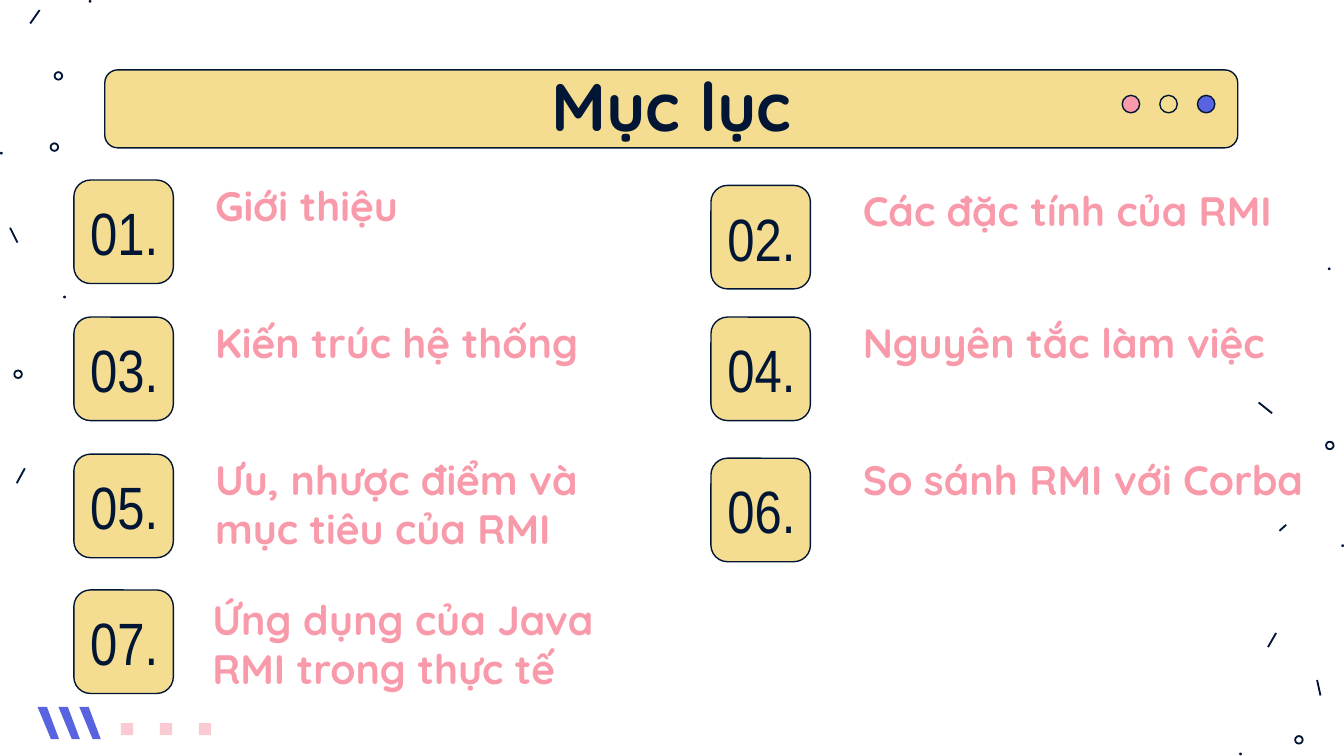
from lxml import etree
from pptx import Presentation
from pptx import util as u
from pptx.dml.color import RGBColor
from pptx.enum import shapes, text
from pptx.oxml.ns import qn

Inches = u.Inches
COLORS = {"navy": "011635", "yellow": "F4DC90", "pink": "F99AAA",
          "pale": "F9CAD2", "blue": "5863E0"}
SHAPE = shapes.MSO_SHAPE

SLASHES = [
    (0.295, 0.075, 0.225, 0.175), (0.075, 1.695, 0.13, 1.805),
    (0.185, 3.485, 0.125, 3.595), (9.365, 2.995, 9.465, 3.075),
    (9.8, 5.06, 9.825, 5.175), (9.495, 4.71, 9.435, 4.815),
    (9.57, 3.905, 9.52, 3.95),
]
RINGS = [(0.4, 0.53), (0.1, 2.75), (0.37, 1.06), (9.86, 3.28), (9.63, 5.47)]
DOTS = [(0.47, 2.2), (0.66, 0), (0, 1.13), (9.98, 4.05), (9.22, 5.6), (9.88, 1.99)]
ITEMS = [
    ("Giới thiệu", 0.55, 1.34, 1.6, 1.34, 2.55),
    ("Các đặc tính của RMI", 5.29, 1.38, 6.42, 1.38, 3.2),
    ("Kiến trúc hệ thống", 0.55, 2.36, 1.6, 2.36, 2.82),
    ("Nguyên tắc làm việc", 5.29, 2.36, 6.42, 2.36, 3.09),
    ("Ưu, nhược điểm và mục tiêu của RMI", 0.55, 3.38, 1.6, 3.38, 3.05),
    ("So sánh RMI với Corba", 5.29, 3.41, 6.42, 3.38, 3.39),
    ("Ứng dụng của Java RMI trong thực tế", 0.55, 4.39, 1.58, 4.42, 3.33),
]


def rgb(name):
    return RGBColor.from_string(COLORS[name])


def paint(sp, fill, line=None):
    sp.shadow.inherit = False
    sp.fill.solid()
    sp.fill.fore_color.rgb = rgb(fill)
    if line:
        sp.line.color.rgb = rgb(line)
        sp.line.width = u.Pt(0.75)
    else:
        sp.line.fill.background()
    return sp


def add_shape(s, kind, x, y, w, h, fill, line=None):
    sp = s.shapes.add_shape(kind, Inches(x), Inches(y), Inches(w), Inches(h))
    return paint(sp, fill, line)


def write(sp, words, size, font, color, bold=False,
          align=text.PP_ALIGN.LEFT, anchor=text.MSO_ANCHOR.TOP):
    tf = sp.text_frame
    tf.word_wrap = True
    tf.auto_size = text.MSO_AUTO_SIZE.NONE
    tf.vertical_anchor = anchor
    tf.margin_left = tf.margin_right = tf.margin_top = tf.margin_bottom = 0
    p = tf.paragraphs[0]
    p.alignment = align
    r = p.add_run()
    r.text = words
    r.font.size = u.Pt(size)
    r.font.name = font
    r.font.bold = bold
    r.font.color.rgb = rgb(color)


def add_text(s, words, x, y, w, h, **fmt):
    sp = s.shapes.add_textbox(Inches(x), Inches(y), Inches(w), Inches(h))
    write(sp, words, **fmt)


def draw_confetti(s):
    for ends in SLASHES:
        line = s.shapes.add_connector(shapes.MSO_CONNECTOR.STRAIGHT,
                                      *[Inches(v) for v in ends])
        line.line.color.rgb = rgb("navy")
        line.line.width = u.Pt(1)
        props = line.element.find(qn("p:spPr"))
        etree.SubElement(props, qn("a:effectLst"))
    for x, y in RINGS:
        ring = add_shape(s, SHAPE.DONUT, x, y, 0.07, 0.07, "navy")
        ring.adjustments[0] = 0.2
    for x, y in DOTS:
        add_shape(s, SHAPE.OVAL, x, y, 0.02, 0.02, "navy")


def draw_footer_marks(s, x, y):
    for i in range(3):
        left = x + 0.155 * i
        corners = [(left + dx, y + dy) for dx, dy in
                   [(0.07, 0), (0.16, 0.24), (0.1, 0.24), (0, 0)]]
        points = [(Inches(px), Inches(py)) for px, py in corners]
        builder = s.shapes.build_freeform(*points[0])
        builder.add_line_segments(points[1:], close=True)
        paint(builder.convert_to_shape(), "blue")
        add_shape(s, SHAPE.RECTANGLE, x + 0.62 + 0.29 * i, y + 0.12,
                  0.09, 0.09, "pale")


def draw_title_bar(s, x, y, w, h):
    bar = add_shape(s, SHAPE.ROUNDED_RECTANGLE, x, y, w, h, "yellow", "navy")
    bar.adjustments[0] = 0.167
    title = s.shapes.title
    title.left, title.top = Inches(x + 0.71), Inches(y - 0.06)
    title.width, title.height = Inches(7.01), Inches(0.63)
    write(title, "Mục lục", size=36, font="Quicksand", color="navy", bold=True,
          align=text.PP_ALIGN.CENTER, anchor=text.MSO_ANCHOR.MIDDLE)
    bar.element.addnext(title.element)
    for i, color in enumerate(["pink", "yellow", "blue"]):
        add_shape(s, SHAPE.OVAL, x + w - 0.86 + 0.28 * i, y + 0.19,
                  0.13, 0.13, color, "navy")


def draw_item(s, number, label, x, y, label_x, label_y, label_w):
    tile = add_shape(s, SHAPE.ROUNDED_RECTANGLE, x, y, 0.74, 0.77, "yellow", "navy")
    tile.adjustments[0] = 0.167
    add_text(s, f"{number:02d}.", x + 0.08, y + 0.13, 0.59, 0.51,
             size=32, font="Arial Narrow", color="navy",
             align=text.PP_ALIGN.CENTER, anchor=text.MSO_ANCHOR.MIDDLE)
    add_text(s, label, label_x, label_y, label_w, 0.51,
             size=22, font="Quicksand", color="pink", bold=True)


def main():
    prs = Presentation()
    prs.slide_width = Inches(10)
    prs.slide_height = prs.slide_width * 9 // 16
    s = prs.slides.add_slide(prs.slide_layouts[5])
    draw_confetti(s)
    draw_footer_marks(s, 0.28, 5.26)
    draw_title_bar(s, 0.78, 0.52, 8.43, 0.58)
    for number, item in enumerate(ITEMS, 1):
        draw_item(s, number, *item)
    prs.save("out.pptx")


if __name__ == "__main__":
    main()
